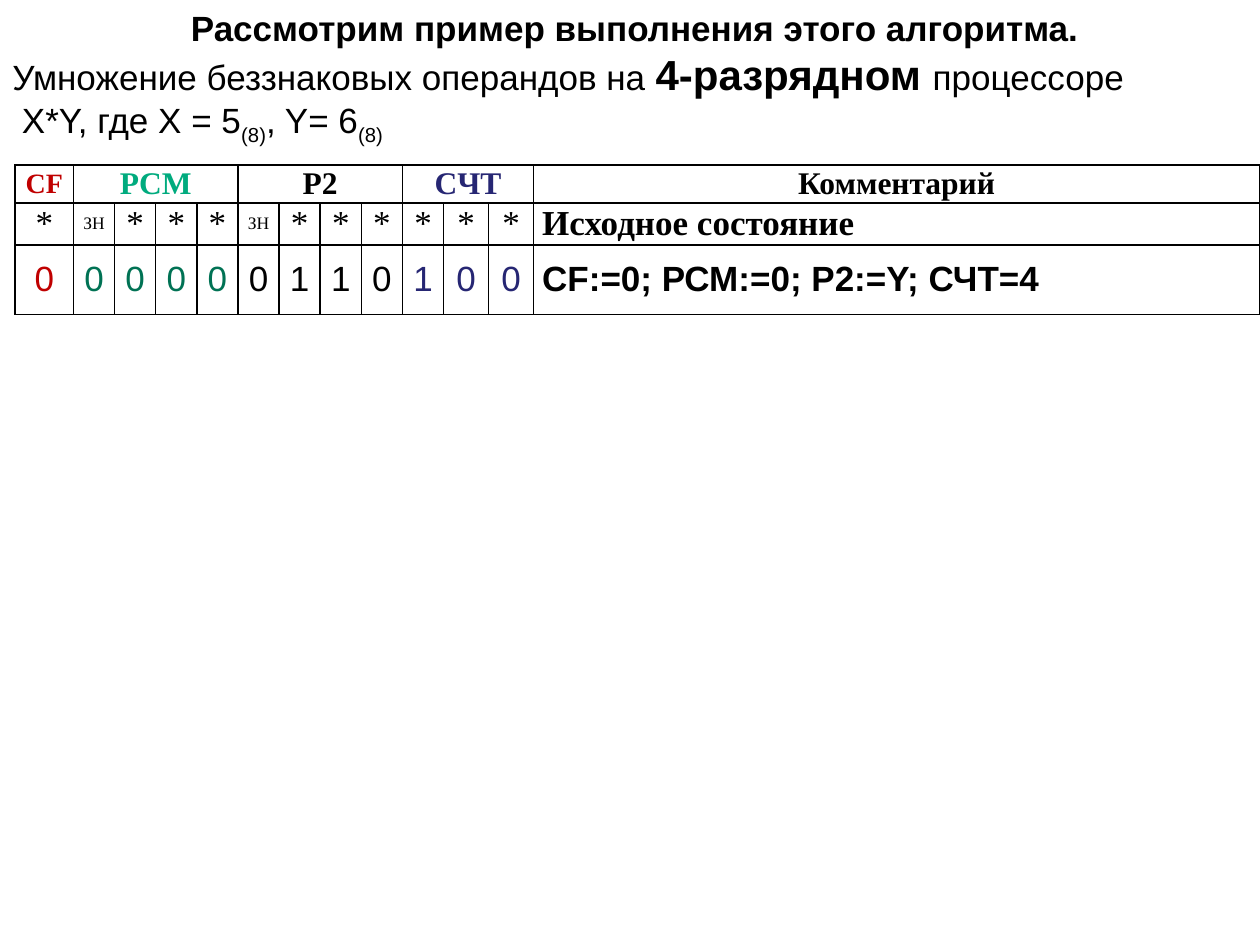
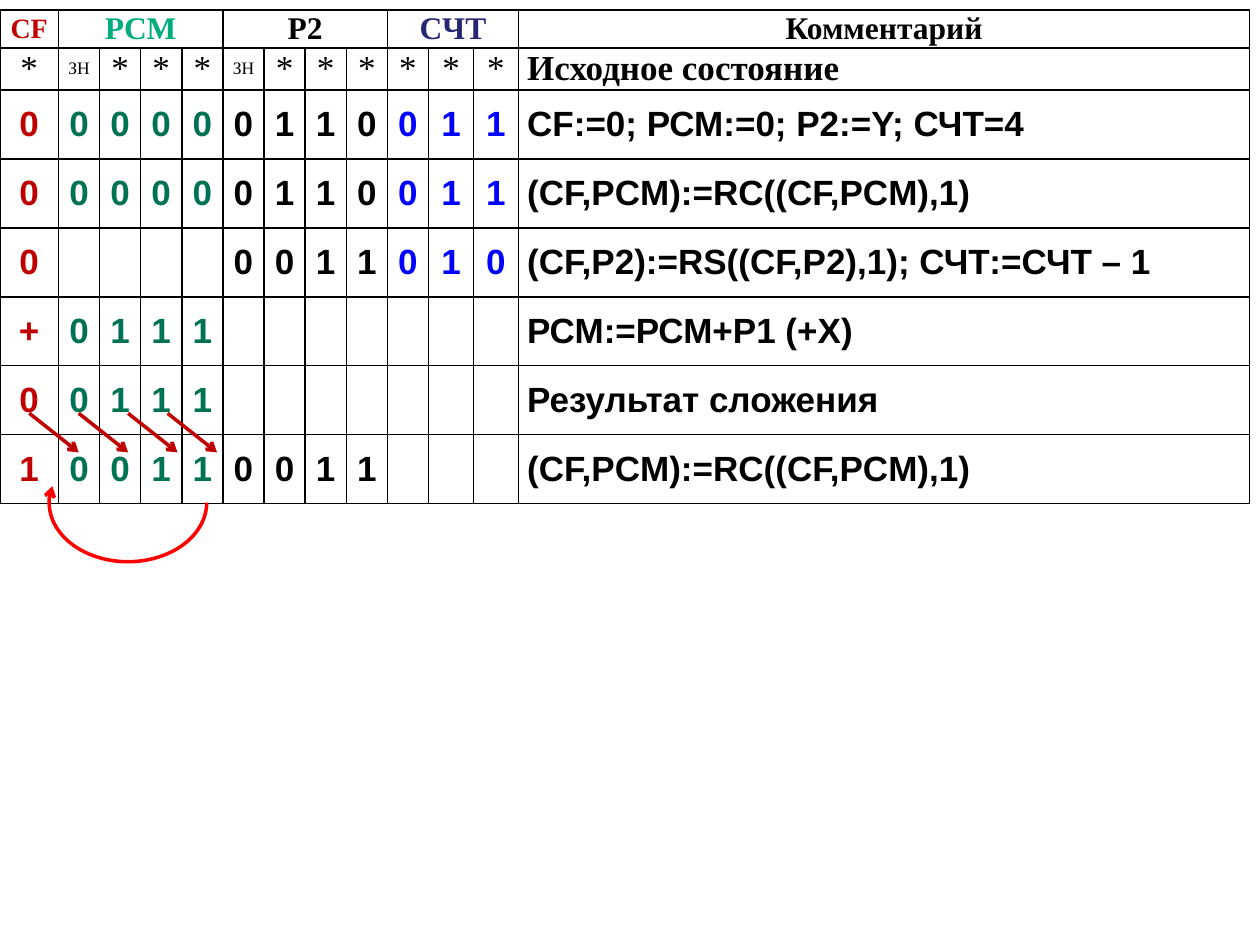
from lxml import etree
from pptx import Presentation
from pptx import util as u
from pptx.dml.color import RGBColor
from pptx.enum import shapes, text
from pptx.oxml import ns

Pt = u.Pt
COLOURS = {
    "black": "000000", "carry": "C00000", "sum_head": "00AB7E", "sum": "007254",
    "counter_head": "262673", "counter": "0000FF", "feedback": "FF0000",
}
SANS, SERIF = "Arial", "Times New Roman"
CENTER, LEFT = text.PP_ALIGN.CENTER, text.PP_ALIGN.LEFT

# Register heading, bit count, heading size, heading colour
REGISTERS = [
    ("CF", 1, 16, "carry"), ("PCM", 4, 18, "sum_head"), ("P2", 4, 18, "black"),
    ("CЧТ", 3, 18, "counter_head"), ("Комментарий", 1, 18, "black"),
]
BIT_MARKS = ["*"] + ["ЗН", "*", "*", "*"] * 2 + ["*"] * 3
BIT_WIDTHS = [33.4] + [23.5] * 9 + [25.7] * 2

# Values of CF, PCM, P2 and the counter, then the comment
START = ("0", "0000", "0110", "100", "CF:=0; РСМ:=0; Р2:=Y; СЧТ=4")
STEPS = [
    ("0", "0000", "0110", "011", START[-1]),
    ("0", "0000", "0110", "011", "(CF,PCM):=RС((CF,PCM),1)"),
    ("0", "", "0011", "010", "(CF,P2):=RS((CF,P2),1); СЧТ:=СЧТ – 1"),
    ("+", "0111", "", "", "РСМ:=РСМ+Р1 (+X)"),
    ("0", "0111", "", "", "Результат сложения"),
    ("1", "0011", "0011", "", "(CF,PCM):=RС((CF,PCM),1)"),
]


def rgb(name):
    return RGBColor.from_string(COLOURS[name])


def add_span(para, words, size, colour="black", name=SANS, bold=False):
    span = para.add_run()
    span.text = words
    font_values = {"size": Pt(size), "bold": bold, "name": name}
    for key, value in font_values.items():
        setattr(span.font, key, value)
    span.font.color.rgb = rgb(colour)
    return span


def add_intro(page, left, top, width, height):
    frame = page.shapes.add_textbox(Pt(left), Pt(top), Pt(width), Pt(height)).text_frame
    frame.word_wrap = True
    heading, task, operands = frame.paragraphs[0], frame.add_paragraph(), frame.add_paragraph()
    heading.alignment = CENTER
    for para in (heading, operands):
        para._p.get_or_add_pPr().set("marL", str(Pt(5.5)))
    add_span(heading, "Рассмотрим пример выполнения этого алгоритма.", 20, bold=True)
    add_span(task, "Умножение беззнаковых операндов на ", 20)
    add_span(task, "4-разрядном ", 24, bold=True)
    add_span(task, "процессоре", 20)
    for words in ("X*Y, где X = 5", ", Y= 6"):
        add_span(operands, words, 20)
        base = add_span(operands, "(8)", 20)
        base.font._element.set("baseline", "-25000")


def draw_borders(cell):
    """Give all four sides of the cell a thin black line."""
    props = cell._tc.get_or_add_tcPr()
    for place, side in enumerate(("lnL", "lnR", "lnT", "lnB")):
        line = etree.Element(ns.qn("a:" + side), w=str(Pt(1)))
        fill = etree.SubElement(line, ns.qn("a:solidFill"))
        etree.SubElement(fill, ns.qn("a:srgbClr"), val=COLOURS["black"])
        props.insert(place, line)


def fill_cell(cell, words, align=CENTER, **style):
    para = cell.text_frame.paragraphs[0]
    para.alignment = align
    para.space_after = Pt(3)
    add_span(para, words, **style)


def add_register_table(page, left, top, width, heights, steps, bits_bold, counter):
    count = len(BIT_WIDTHS) + 1
    table = page.shapes.add_table(
        len(heights), count, Pt(left), Pt(top), Pt(width), Pt(sum(heights))).table
    table.first_row = table.horz_banding = False
    for column, size in zip(table.columns, BIT_WIDTHS + [width - sum(BIT_WIDTHS)]):
        column.width = Pt(size)
    for row, size in zip(table.rows, heights):
        row.height = Pt(size)
    cell_values = {
        "margin_left": Pt(5), "margin_right": Pt(5), "margin_top": 0,
        "margin_bottom": 0, "vertical_anchor": text.MSO_ANCHOR.MIDDLE,
    }
    for cell in table.iter_cells():
        for key, value in cell_values.items():
            setattr(cell, key, value)
        cell.fill.background()
        draw_borders(cell)

    starts = []
    column = 0
    for name, bits, size, colour in REGISTERS:
        starts.append(column)
        cell = table.cell(0, column)
        if bits > 1:
            cell.merge(table.cell(0, column + bits - 1))
        fill_cell(cell, name, size=size, colour=colour, name=SERIF, bold=True)
        column += bits

    for column, mark in enumerate(BIT_MARKS):
        fill_cell(table.cell(1, column), mark, size=20 if mark == "*" else 10, name=SERIF)
    fill_cell(table.cell(1, count - 1), "Исходное состояние", LEFT,
              size=20, name=SERIF, bold=True)

    for row, (*values, comment) in enumerate(steps, start=2):
        for start, bits, colour in zip(starts, values, ("carry", "sum", "black", counter)):
            for offset, bit in enumerate(bits):
                fill_cell(table.cell(row, start + offset), bit,
                          size=20, colour=colour, bold=bits_bold)
        fill_cell(table.cell(row, count - 1), comment, LEFT, size=20, bold=True)


def style_arrow(shape, colour):
    shape.line.color.rgb = rgb(colour)
    shape.line.width = Pt(2)
    etree.SubElement(shape.line._get_or_add_ln(), ns.qn("a:tailEnd"), type="arrow")


def add_shift_arrows(page, left, top):
    """Show the cyclic shift right through the carry flag."""
    run, drop = 28.2, 22.3
    for offset in (0, run, 2 * run, 79):
        start = left + offset
        arrow = page.shapes.add_connector(
            shapes.MSO_CONNECTOR.STRAIGHT,
            Pt(start), Pt(top), Pt(start + run), Pt(top + drop))
        style_arrow(arrow, "carry")
        etree.SubElement(arrow._element.spPr, ns.qn("a:effectLst"))
    feedback = page.shapes.add_shape(
        shapes.MSO_SHAPE.ARC, Pt(left + 11.3), Pt(top + 17.3), Pt(90), Pt(67.5))
    feedback.adjustments[0], feedback.adjustments[1] = 0, 115.4
    feedback.shadow.inherit = False
    feedback.fill.background()
    style_arrow(feedback, "feedback")


def main():
    deck = Presentation()
    deck.slide_width, deck.slide_height = Pt(720), Pt(540)
    blank = deck.slide_layouts[6]

    page = deck.slides.add_slide(blank)
    add_intro(page, 0, 0, 720, 85)
    add_register_table(page, 8.6, 94.3, 711.4, [21.5, 24, 39.6], [START],
                       bits_bold=False, counter="counter_head")

    page = deck.slides.add_slide(blank)
    add_register_table(page, 0, 5.8, 714.2, [20.2, 22.5] + [39.4] * len(STEPS), STEPS,
                       bits_bold=True, counter="counter")
    add_shift_arrows(page, 16.8, 236.2)

    deck.save("out.pptx")


if __name__ == "__main__":
    main()
